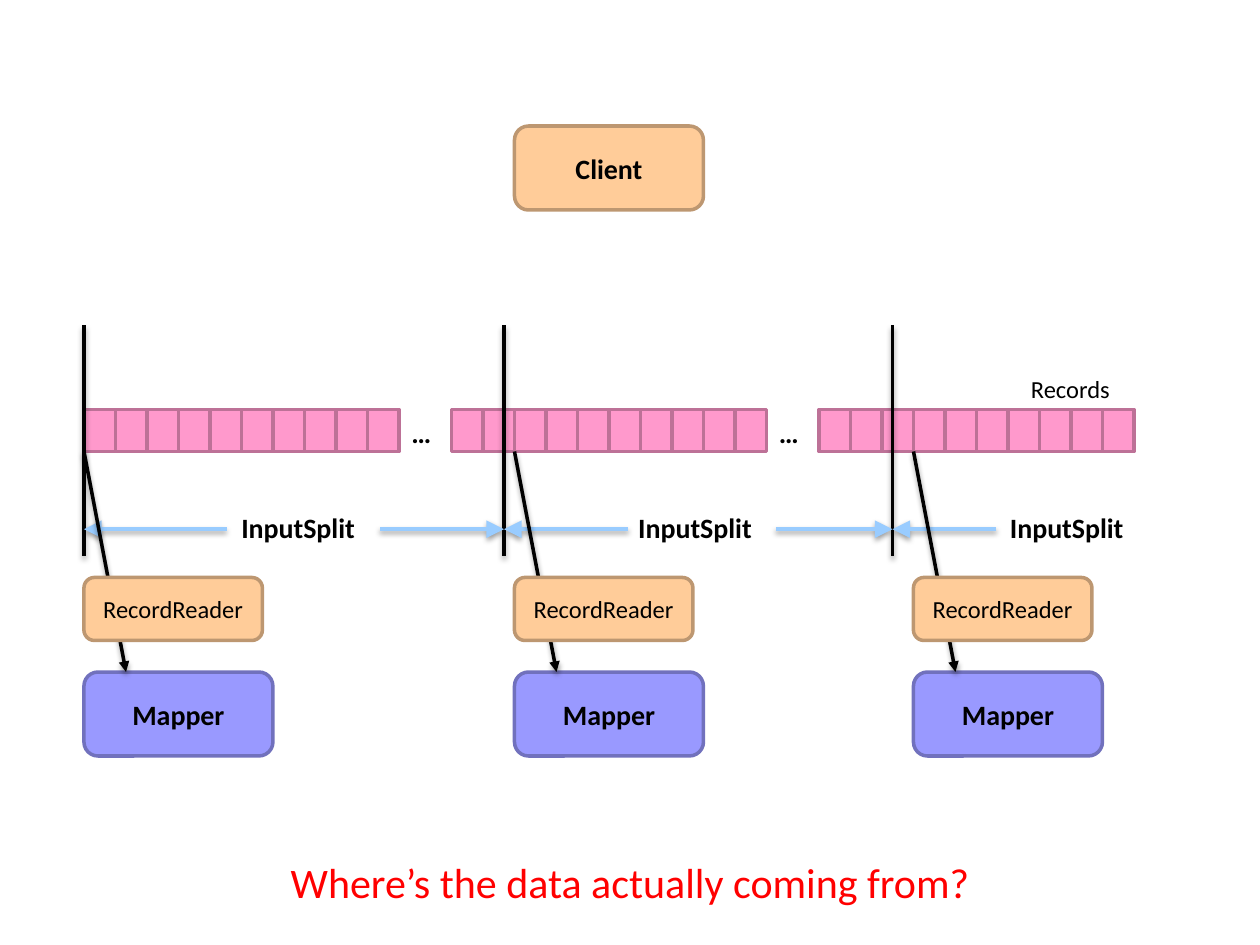
import pptx
import pptx.util
import pptx.dml.color
import pptx.enum.shapes
import pptx.enum.text
import pptx.oxml
import pptx.oxml.ns

SCALE = 7620
FONT = "Calibri"
COLORS = {
    "ink": "000000", "pink": "FF99CC", "rose": "BD7197",
    "peach": "FFCC99", "tan": "BD9771", "violet": "9999FF",
    "plum": "7171BD", "sky": "99CCFF", "red": "FF0000",
}
KINDS = pptx.enum.shapes.MSO_SHAPE
ALIGN = pptx.enum.text.PP_ALIGN


def px(*nums):
    return [pptx.util.Emu(num * SCALE) for num in nums]


def color(name):
    return pptx.dml.color.RGBColor.from_string(COLORS[name])


def write(frame, text, size, bold, align, ink="ink"):
    frame.word_wrap = True
    para = frame.paragraphs[0]
    para.text = text
    para.alignment = align
    para.font.name = FONT
    para.font.size = pptx.util.Pt(size)
    para.font.bold = bold
    para.font.color.rgb = color(ink)


def label(shapes, box, text, size=16, bold=True, align=ALIGN.LEFT, ink="ink"):
    frame = shapes.add_textbox(*px(*box)).text_frame
    write(frame, text, size, bold, align, ink)


def block(shapes, box, fill, edge, kind=KINDS.ROUNDED_RECTANGLE):
    shape = shapes.add_shape(kind, *px(*box))
    shape.shadow.inherit = False
    shape.fill.solid()
    shape.fill.fore_color.rgb = color(fill)
    shape.line.color.rgb = color(edge)
    shape.line.width = pptx.util.Pt(2)
    return shape


def node(shapes, box, text, fill, edge, size=16, bold=True):
    frame = block(shapes, box, fill, edge).text_frame
    frame.vertical_anchor = pptx.enum.text.MSO_ANCHOR.MIDDLE
    frame.margin_left = frame.margin_right = 0
    write(frame, text, size, bold, ALIGN.CENTER)


def line(shapes, start, end, ink="ink", head=None, alpha=38, drop=1.6):
    straight = pptx.enum.shapes.MSO_CONNECTOR.STRAIGHT
    link = shapes.add_connector(straight, *px(*start, *end))
    link.line.color.rgb = color(ink)
    link.line.width = pptx.util.Pt(2)
    space = pptx.oxml.ns.nsdecls("a")
    if head:
        link.line._get_or_add_ln().append(pptx.oxml.parse_xml(
            f'<a:tailEnd {space} type="triangle" w="{head}" len="{head}"/>'))
    blur, dist = pptx.util.Pt(3.1), pptx.util.Pt(drop)
    link._element.spPr.append(pptx.oxml.parse_xml(
        f'<a:effectLst {space}><a:outerShdw blurRad="{blur}" dist="{dist}" '
        f'dir="5400000" rotWithShape="0"><a:srgbClr val="{COLORS["ink"]}">'
        f'<a:alpha val="{alpha * 1000}"/></a:srgbClr></a:outerShdw></a:effectLst>'))


def records(shapes, left, top, width, height, count=10):
    step = width // count
    for num in range(count):
        box = (left + num * step, top, step, height)
        block(shapes, box, "pink", "rose", KINDS.RECTANGLE)


def split(shapes, left, top, width, height, text, gap, right=None):
    mid = top + 24
    group = shapes.add_group_shape().shapes
    line(group, (left + gap, mid), (left, mid), "sky", "lg")
    if right:
        line(group, (left + right, mid), (left + width, mid), "sky", "lg")
    label(group, (left + text, top, 157, height), "InputSplit")


def task(shapes, left, top, width, height):
    group = shapes.add_group_shape().shapes
    goal = top + height - 80
    node(group, (left, goal, width, 80), "Mapper", "violet", "plum")
    line(group, (left, top), (left + 40, goal), head="med")
    node(group, (left, top + 120, width - 10, 60),
         "RecordReader", "peach", "tan", 14, False)


def main():
    deck = pptx.Presentation()
    deck.slide_width, deck.slide_height = px(1200, 900)
    shapes = deck.slides.add_slide(deck.slide_layouts[6]).shapes

    for left in (80, 430, 780):
        records(shapes, left, 390, 300, 40)
    for left in (380, 730):
        label(shapes, (left, 390, 52, 44), "…")
    for left in (80, 480, 850):
        line(shapes, (left, 310), (left, 530), alpha=35, drop=1.8)

    split(shapes, 80, 480, 400, 44, 138, 136, 282)
    split(shapes, 480, 480, 370, 44, 116, 118, 259)
    split(shapes, 850, 480, 260, 44, 100, 99)

    node(shapes, (490, 120, 180, 80), "Client", "peach", "tan")
    label(shapes, (970, 350, 104, 41), "Records", 14, False)
    for left in (80, 490, 870):
        task(shapes, left, 430, 180, 290)
    label(shapes, (0, 810, 1200, 60), "Where’s the data actually coming from?",
          24, False, ALIGN.CENTER, "red")

    deck.save("out.pptx")


if __name__ == "__main__":
    main()
